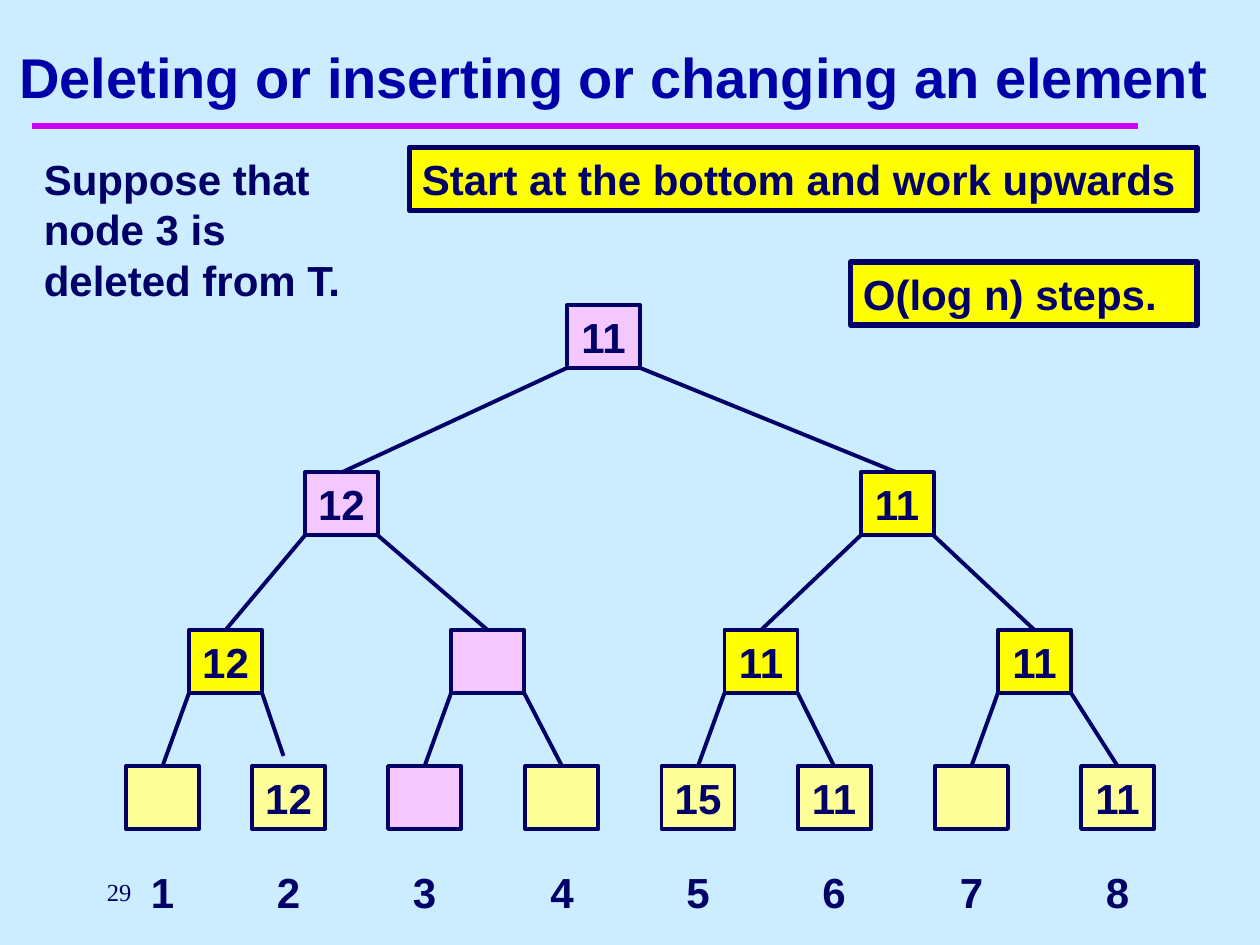
from lxml import etree
from pptx import Presentation
from pptx.dml.color import RGBColor
from pptx.enum.shapes import MSO_CONNECTOR, MSO_SHAPE
from pptx.enum.text import MSO_ANCHOR, PP_ALIGN
from pptx.oxml.ns import qn
from pptx.util import Inches, Pt

RECT = MSO_SHAPE.RECTANGLE
LINE = MSO_CONNECTOR.STRAIGHT
TOP, MIDDLE, BOTTOM = MSO_ANCHOR.TOP, MSO_ANCHOR.MIDDLE, MSO_ANCHOR.BOTTOM
LEFT, CENTER = PP_ALIGN.LEFT, PP_ALIGN.CENTER

SKY = RGBColor(0xCC, 0xEC, 0xFF)
NAVY = RGBColor(0x00, 0x00, 0x66)
BLUE = RGBColor(0x00, 0x00, 0xA8)
MAGENTA = RGBColor(0xCC, 0x00, 0xFF)
YELLOW = RGBColor(0xFF, 0xFF, 0x00)
CREAM = RGBColor(0xFF, 0xFF, 0x99)
PINK = RGBColor(0xF4, 0xC7, 0xFF)

TITLE = "Deleting or inserting or changing an element"
TASK = "Suppose that node 3 is deleted from T."
NOTES = [
    ("Start at the bottom and work upwards", 3.25, 1.17),
    ("O(log n) steps.", 6.75, 2.08),
]
RIGHT = 9.5
NODE_W, NODE_H = 0.58, 0.5
LABEL_TOP = 6.83
LEVELS = [
    (2.42, [(4.5, "11", PINK)]),
    (3.75, [(2.42, "12", PINK), (6.83, "11", YELLOW)]),
    (5, [(1.5, "12", YELLOW), (3.58, "", PINK),
         (5.75, "11", YELLOW), (7.92, "11", YELLOW)]),
    (6.08, [(1, "", CREAM), (2, "12", CREAM), (3.08, "", PINK), (4.17, "", CREAM),
            (5.25, "15", CREAM), (6.33, "11", CREAM), (7.42, "", CREAM),
            (8.58, "11", CREAM)]),
]
LOOSE = {(3, 1): (2.25, 6)}

prs = Presentation()
prs.slide_width, prs.slide_height = Inches(10), Inches(7.5)
slide = prs.slides.add_slide(prs.slide_layouts[6])
slide.background.fill.solid()
slide.background.fill.fore_color.rgb = SKY


def add_text(text, x, y, w, h, fill=None, line=2.25, size=24, font="Arial",
             color=NAVY, bold=True, align=CENTER, anchor=MIDDLE, wrap=False):
    area = [Inches(v) for v in (x, y, w, h)]
    if fill is None:
        box = slide.shapes.add_textbox(*area)
    else:
        box = slide.shapes.add_shape(RECT, *area)
        box.shadow.inherit = False
        box.fill.solid()
        box.fill.fore_color.rgb = fill
        box.line.color.rgb = NAVY
        box.line.width = Pt(line)
    frame = box.text_frame
    frame.word_wrap = wrap
    frame.vertical_anchor = anchor
    if text:
        para = frame.paragraphs[0]
        para.alignment = align
        run = para.add_run()
        run.text = text
        run.font.size, run.font.name, run.font.bold = Pt(size), font, bold
        run.font.color.rgb = color
    return box


def add_line(start, end, color=NAVY, width=2.25):
    line = slide.shapes.add_connector(LINE, *[Inches(v) for v in (*start, *end)])
    line.line.color.rgb = color
    line.line.width = Pt(width)
    etree.SubElement(line._element.spPr, qn("a:effectLst"))
    return line


add_line((0.25, 1), (9.03, 1), MAGENTA, 4)
add_text(TITLE, 0, 0.17, 9.75, 0.75, size=32, color=BLUE, anchor=BOTTOM, wrap=True)
add_text("29", 0.75, LABEL_TOP, 2.08, 0.5, size=14, font="Times New Roman",
         bold=False, align=LEFT, wrap=True)

tree = [[add_text(text, x, top, NODE_W, NODE_H, fill=fill) for x, text, fill in row]
        for top, row in LEVELS]

for depth in range(1, len(LEVELS)):
    top, row = LEVELS[depth]
    above, parents = LEVELS[depth - 1]
    for i, (x, _, _) in enumerate(row):
        start = (parents[i // 2][0] + i % 2 * NODE_W, above + NODE_H)
        end = LOOSE.get((depth, i))
        edge = add_line(start, end or (x + NODE_W / 2, top))
        if end is None:
            edge.end_connect(tree[depth][i], 0)

for i, (x, _, _) in enumerate(LEVELS[-1][1], 1):
    add_text(str(i), x, LABEL_TOP, NODE_W, NODE_H)

for text, x, y in NOTES:
    add_text(text, x, y, RIGHT - x, 0.5, fill=YELLOW, line=3, align=LEFT,
             anchor=TOP, wrap=True)
add_text(TASK, 0.25, 1.17, 2.83, 1.3, align=LEFT, anchor=TOP, wrap=True)

prs.save("out.pptx")
